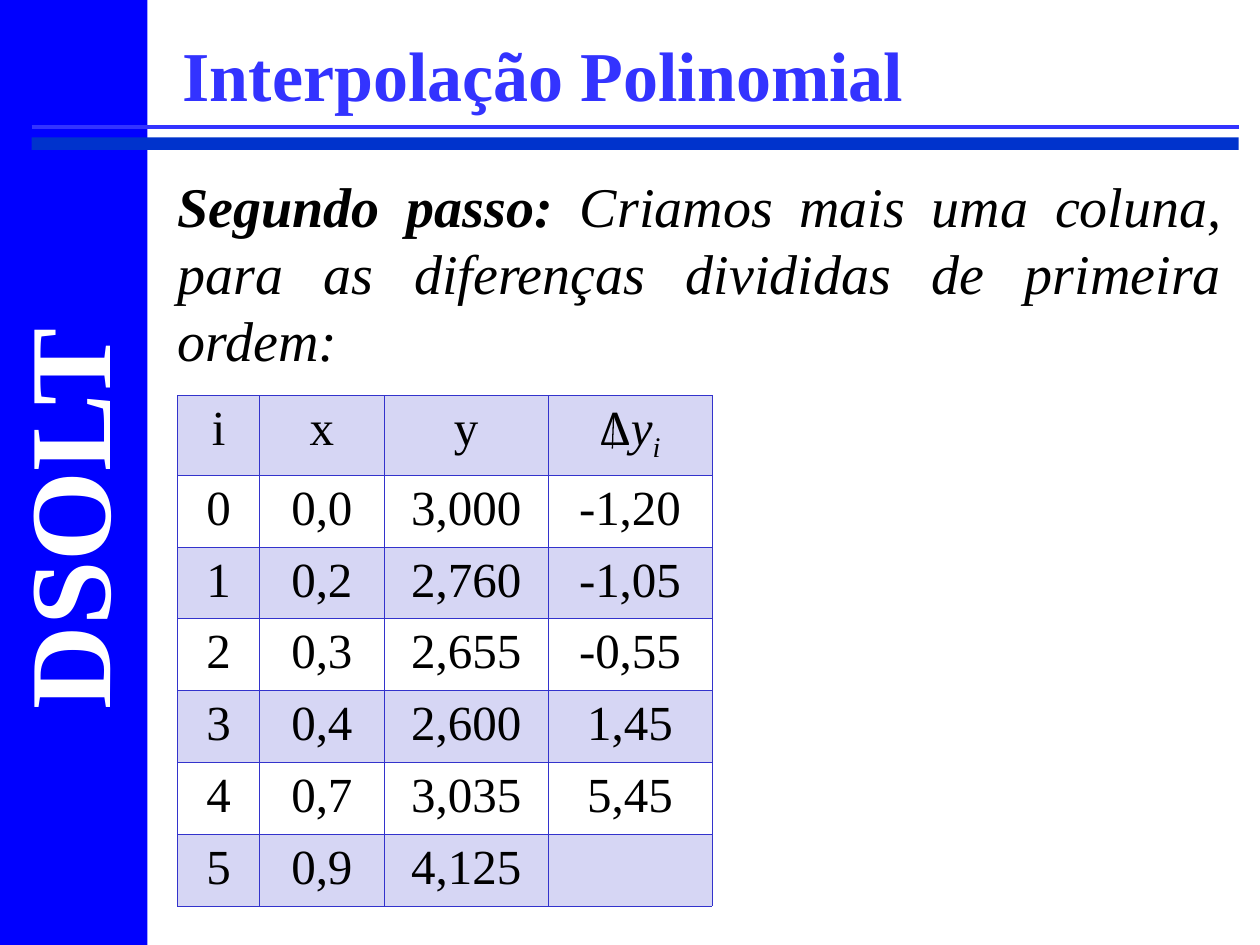
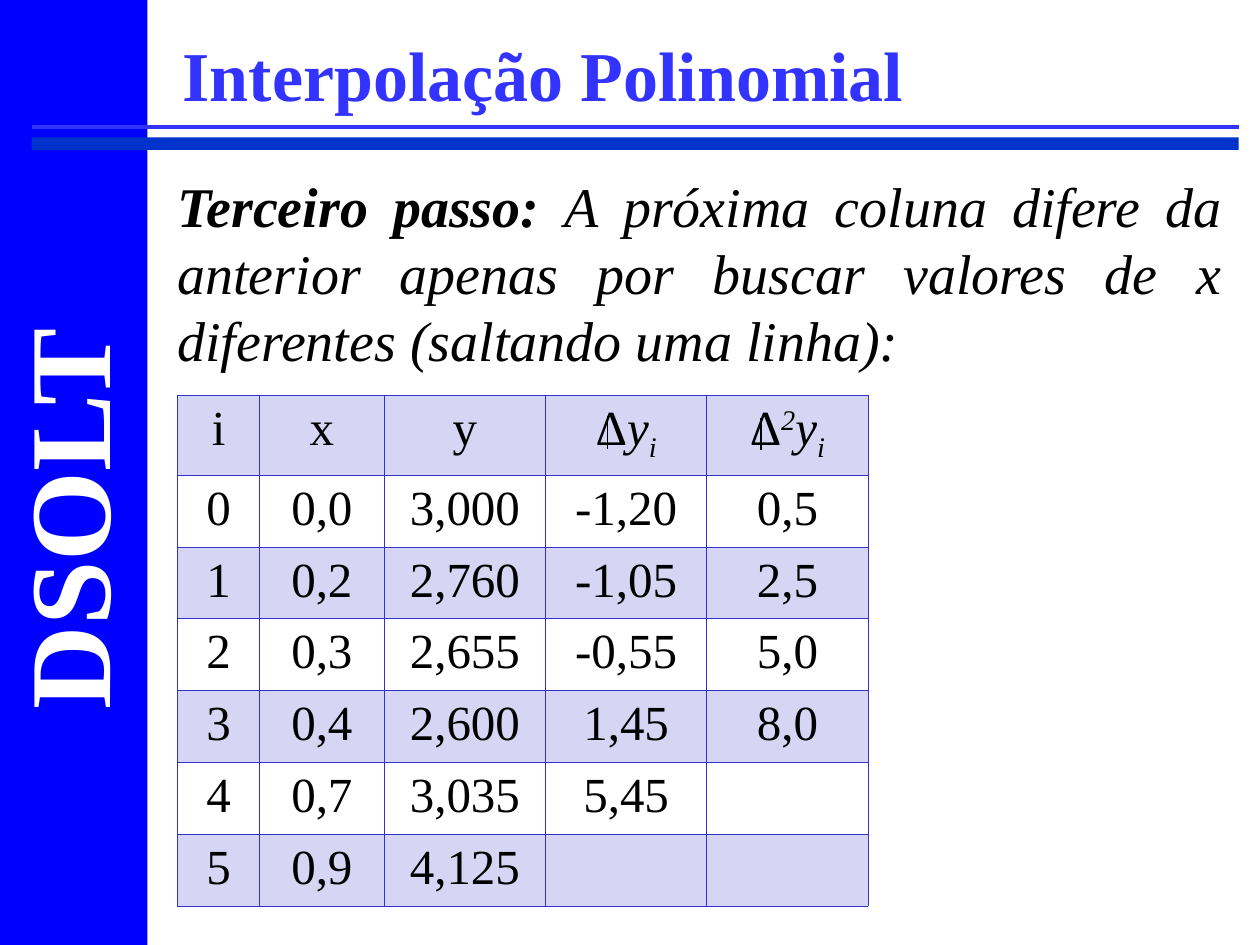
from lxml.etree import SubElement
from pptx import Presentation
from pptx.dml.color import RGBColor
from pptx.enum.shapes import MSO_CONNECTOR, MSO_SHAPE
from pptx.enum.text import MSO_ANCHOR, MSO_AUTO_SIZE, PP_ALIGN
from pptx.oxml.ns import qn
from pptx.util import Inches, Pt

WHITE = RGBColor(0xFF, 0xFF, 0xFF)
BLACK = RGBColor(0x00, 0x00, 0x00)
SIDEBAR_BLUE = RGBColor(0x00, 0x00, 0xFF)
BAND_BLUE = RGBColor(0x00, 0x33, 0xCC)
TITLE_BLUE = RGBColor(0x33, 0x33, 0xFF)
TABLE_BLUE = RGBColor(0x33, 0x33, 0xCC)

FONT = "Times New Roman"
SIDEBAR_NAME = "DSOLT"
TITLE = "Interpolação Polinomial"

SIDEBAR_BOX = (0, 0, 1.17, 7.5)
RULES_BOX = (0.25, 1.01, 9.58, 0.18)
TITLE_BOX = (1.35, 0.08, 8.49, 1)
BODY_BOX = (1.31, 1.31, 8.49, 5.91)
TABLE_LEFT, TABLE_TOP = 1.41, 3.14
HEADER_HEIGHT, ROW_HEIGHT = 0.63, 0.57

DELTA_Y = [("Δ", {}), ("y", {"italic": True}), ("i", {"italic": True, "baseline": -25})]
DELTA_2_Y = [DELTA_Y[0], ("2", {"italic": True, "baseline": 30}), *DELTA_Y[1:]]

INDEX = ("i", "0", "1", "2", "3", "4", "5")
X = ("x", "0,0", "0,2", "0,3", "0,4", "0,7", "0,9")
Y = ("y", "3,000", "2,760", "2,655", "2,600", "3,035", "4,125")
FIRST_ORDER = (DELTA_Y, "-1,20", "-1,05", "-0,55", "1,45", "5,45", "")
SECOND_ORDER = (DELTA_2_Y, "0,5", "2,5", "5,0", "8,0", "", "")

# Each delta bar: column, then start and end measured from that column's top left.
STEPS = [
    {
        "lead": "Segundo passo: ",
        "text": "Criamos mais uma coluna, para as diferenças divididas de primeira ordem:",
        "columns": (INDEX, X, Y, FIRST_ORDER),
        "widths": (0.65, 0.99, 1.3, 1.3),
        "delta_bars": [(3, (0.52, 0.16), (0.51, 0.42))],
    },
    {
        "lead": "Terceiro passo: ",
        "text": "A próxima coluna difere da anterior apenas por buscar valores de x "
                "diferentes (saltando uma linha):",
        "columns": (INDEX, X, Y, FIRST_ORDER, SECOND_ORDER),
        "widths": (0.65, 0.99, 1.28, 1.28, 1.28),
        "delta_bars": [(3, (0.49, 0.16), (0.49, 0.42)), (4, (0.43, 0.18), (0.43, 0.43))],
    },
]


def inches(values):
    return [Inches(value) for value in values]


def write_text(frame, text, size, color=BLACK, bold=False, italic=False,
               align=PP_ALIGN.LEFT, space_before=0):
    """Write a string, or a list of (string, format changes), as one paragraph."""
    paragraph = frame.paragraphs[0]
    paragraph.alignment = align
    paragraph.space_before = Pt(space_before)
    for piece, changes in [(text, {})] if isinstance(text, str) else text:
        run = paragraph.add_run()
        run.text = piece
        run.font.name = FONT
        run.font.size = Pt(size)
        run.font.color.rgb = color
        run.font.bold = changes.get("bold", bold)
        run.font.italic = changes.get("italic", italic)
        if "baseline" in changes:
            run.font._element.set("baseline", str(changes["baseline"] * 1000))


def add_rectangle(slide, box, color):
    rectangle = slide.shapes.add_shape(MSO_SHAPE.RECTANGLE, *inches(box))
    rectangle.shadow.inherit = False
    rectangle.fill.solid()
    rectangle.fill.fore_color.rgb = color
    rectangle.line.fill.background()


def add_line(slide, start, end, color, width):
    line = slide.shapes.add_connector(MSO_CONNECTOR.STRAIGHT, *inches(start + end))
    line.line.color.rgb = color
    line.line.width = Pt(width)
    SubElement(line._element.spPr, qn("a:effectLst"))


def add_sidebar(slide, box):
    left, top, width, height = box
    add_rectangle(slide, box, SIDEBAR_BLUE)
    text_width, text_height = 3.25, 1.2
    name_box = slide.shapes.add_textbox(*inches((
        left + (width - text_width) / 2 - 0.07,
        top + (height - text_height) / 2 + 0.35,
        text_width, text_height)))
    name_box.rotation = 270
    name_box.text_frame.word_wrap = False
    write_text(name_box.text_frame, SIDEBAR_NAME, size=66, color=WHITE, bold=True)


def add_title_rules(slide, box):
    left, top, width, height = box
    band_height = 0.1
    add_rectangle(slide, (left, top + height - band_height, width, band_height), BAND_BLUE)
    add_line(slide, (left, top), (left + width, top), TITLE_BLUE, 2.25)


def format_title(slide, box):
    title = slide.shapes.title
    title.left, title.top, title.width, title.height = inches(box)
    frame = title.text_frame
    frame.word_wrap = True
    frame.auto_size = MSO_AUTO_SIZE.NONE
    frame.vertical_anchor = MSO_ANCHOR.MIDDLE
    write_text(frame, TITLE, size=40, color=TITLE_BLUE, bold=True)


def add_explanation(slide, box, lead, text):
    frame = slide.shapes.add_textbox(*inches(box)).text_frame
    frame.word_wrap = True
    write_text(frame, [(lead, {"bold": True}), (text, {})], size=32, italic=True,
               align=PP_ALIGN.JUSTIFY, space_before=6)


def format_cell(cell, shaded):
    """Give the cell thin borders and, when shaded, a transparent fill."""
    properties = cell._tc.get_or_add_tcPr()
    for side in ("lnL", "lnR", "lnT", "lnB"):
        border = SubElement(properties, qn(f"a:{side}"), w=str(Pt(0.45)))
        fill = SubElement(border, qn("a:solidFill"))
        SubElement(fill, qn("a:srgbClr"), val=str(TABLE_BLUE))
    if shaded:
        cell.fill.solid()
        cell.fill.fore_color.rgb = TABLE_BLUE
        color = properties.find(f"{qn('a:solidFill')}/{qn('a:srgbClr')}")
        SubElement(color, qn("a:alpha"), val="20000")
    else:
        cell.fill.background()


def add_difference_table(slide, left, top, columns, widths, delta_bars):
    rows = list(zip(*columns))
    heights = [HEADER_HEIGHT] + [ROW_HEIGHT] * (len(rows) - 1)
    table = slide.shapes.add_table(
        len(rows), len(columns),
        *inches((left, top, sum(widths), sum(heights)))).table
    table.first_row = table.horz_banding = False
    for column, width in zip(table.columns, widths):
        column.width = Inches(width)
    for row_index, (values, height) in enumerate(zip(rows, heights)):
        table.rows[row_index].height = Inches(height)
        for column_index, value in enumerate(values):
            cell = table.cell(row_index, column_index)
            format_cell(cell, shaded=row_index % 2 == 0)
            if value:
                write_text(cell.text_frame, value, size=28, align=PP_ALIGN.CENTER)
    for column_index, start, end in delta_bars:
        column_left = left + sum(widths[:column_index])
        start, end = ((column_left + x, top + y) for x, y in (start, end))
        add_line(slide, start, end, BLACK, 0.75)


def add_step_slide(presentation, lead, text, columns, widths, delta_bars):
    slide = presentation.slides.add_slide(presentation.slide_layouts.get_by_name("Title Only"))
    add_sidebar(slide, SIDEBAR_BOX)
    add_title_rules(slide, RULES_BOX)
    format_title(slide, TITLE_BOX)
    add_explanation(slide, BODY_BOX, lead, text)
    add_difference_table(slide, TABLE_LEFT, TABLE_TOP, columns, widths, delta_bars)


def main():
    presentation = Presentation()
    presentation.slide_width, presentation.slide_height = Inches(10), Inches(7.5)
    for step in STEPS:
        add_step_slide(presentation, **step)
    presentation.save("out.pptx")


if __name__ == "__main__":
    main()
